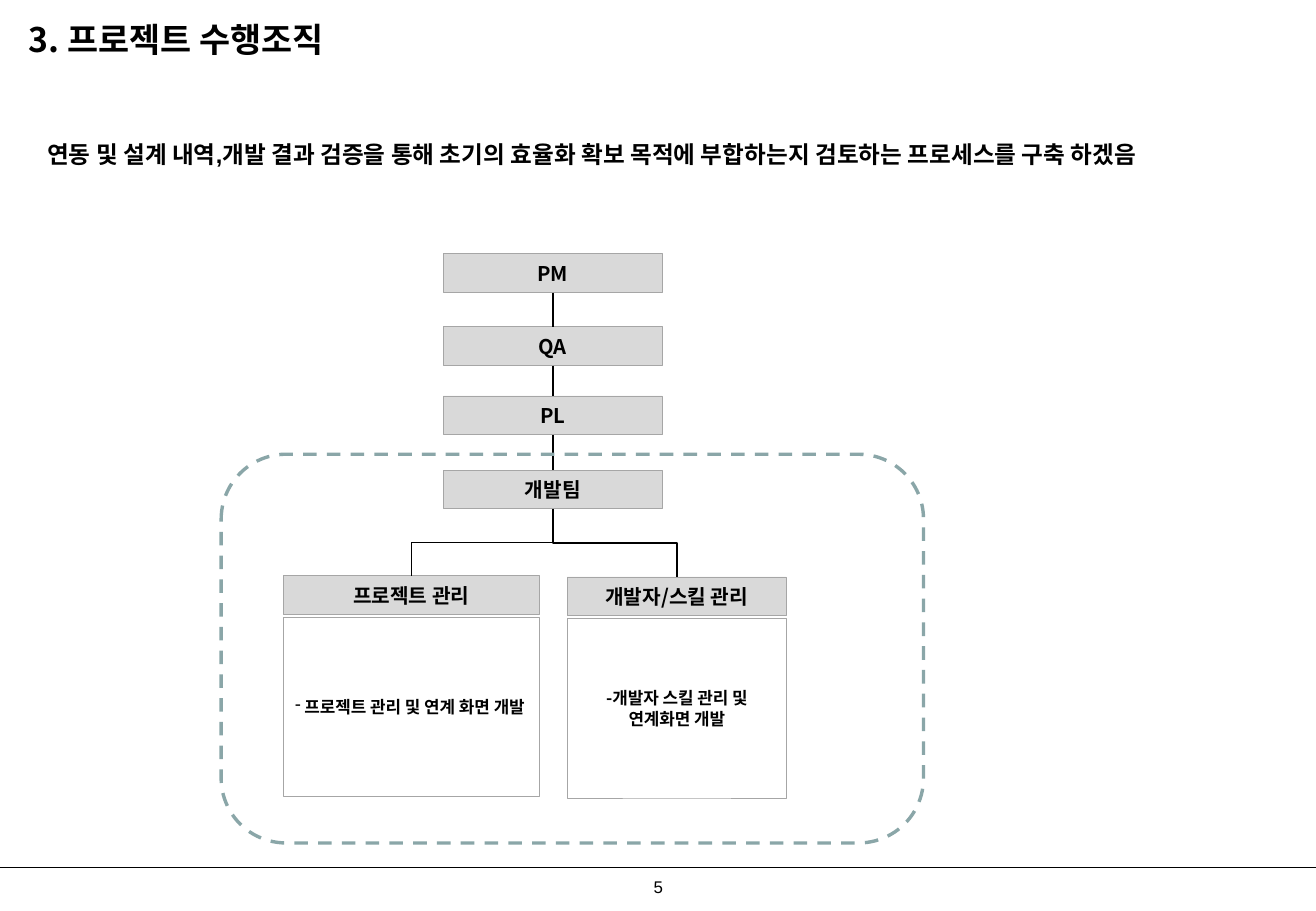
from lxml import etree
from pptx import Presentation
from pptx import util as u
from pptx.dml.color import RGBColor
from pptx.enum import dml, shapes, text
from pptx.oxml.ns import qn

COLORS = {
    "ink": "000000",
    "header": "D9D9D9",
    "border": "A6A6A6",
    "team": "8AA6A8",
}
KOREAN = "Noto Sans CJK KR"
LATIN = "Arial"


class OrgChart:
    def __init__(self, page):
        self.page = page

    def color(self, name):
        return RGBColor.from_string(COLORS[name])

    def set_text(self, item, words, size, font=KOREAN, bold=True, align=text.PP_ALIGN.LEFT):
        para = item.text_frame.paragraphs[0]
        para.text = words
        para.alignment = align
        para.font.size = u.Pt(size)
        para.font.bold = bold
        para.font.color.rgb = self.color("ink")
        para.font.name = font
        properties = para._p.get_or_add_pPr()
        defaults = properties.find(qn("a:defRPr"))
        etree.SubElement(defaults, qn("a:ea")).set("typeface", KOREAN)
        return properties

    def label(self, left, top, width, height, words, size, wrap=False, **style):
        item = self.page.shapes.add_textbox(*map(u.Inches, (left, top, width, height)))
        item.text_frame.word_wrap = wrap
        if wrap:
            item.text_frame.vertical_anchor = text.MSO_ANCHOR.MIDDLE
        self.set_text(item, words, size, **style)

    def box(self, left, top, width, height, fill=None, border="border", weight=0.5,
            kind=shapes.MSO_SHAPE.RECTANGLE):
        item = self.page.shapes.add_shape(kind, *map(u.Inches, (left, top, width, height)))
        item.shadow.inherit = False
        if fill:
            item.fill.solid()
            item.fill.fore_color.rgb = self.color(fill)
        else:
            item.fill.background()
        item.line.color.rgb = self.color(border)
        item.line.width = u.Pt(weight)
        item.text_frame.word_wrap = True
        item.text_frame.vertical_anchor = text.MSO_ANCHOR.MIDDLE
        return item

    def role(self, left, top, width, words):
        item = self.box(left, top, width, 0.32, fill="header")
        self.set_text(item, words, 12, align=text.PP_ALIGN.CENTER)
        return item

    def duty(self, left, top, width, words, align, bullet=None):
        item = self.box(left, top, width, 1.48)
        properties = self.set_text(item, words, 10, align=align)
        if bullet:
            mark = etree.Element(qn("a:buChar"))
            mark.set("char", bullet)
            properties.insert(0, mark)

    def line(self, start=(0, 0), end=(0, 0), kind=shapes.MSO_CONNECTOR.STRAIGHT):
        item = self.page.shapes.add_connector(kind, *map(u.Inches, (*start, *end)))
        item.line.color.rgb = self.color("ink")
        item.line.width = u.Pt(0.75)
        etree.SubElement(item._element.spPr, qn("a:effectLst"))
        return item

    def link(self, upper, lower, kind=shapes.MSO_CONNECTOR.STRAIGHT):
        item = self.line(kind=kind)
        item.begin_connect(upper, 2)
        item.end_connect(lower, 0)
        return item

    def branch(self, upper, lower):
        item = self.link(upper, lower, shapes.MSO_CONNECTOR.ELBOW)
        across = item.end_x - item.begin_x
        drop = item.end_y - item.begin_y
        middle_x = (item.begin_x + item.end_x) // 2
        middle_y = (item.begin_y + item.end_y) // 2
        item.left, item.top = middle_x - drop // 2, middle_y - abs(across) // 2
        item.width, item.height = drop, abs(across)
        frame = item._element.spPr.find(qn("a:xfrm"))
        frame.set("rot", str((270 if across > 0 else 90) * 60000))
        frame.set("flipH", "1" if across > 0 else "0")


def main():
    deck = Presentation()
    deck.slide_width, deck.slide_height = u.Inches(10.83), u.Inches(7.5)
    chart = OrgChart(deck.slides.add_slide(deck.slide_layouts[6]))

    chart.label(5.28, 7.17, 0.37, 0.27, "5", 10, font=LATIN, bold=False)
    chart.line((0, 7.14), (10.83, 7.14))
    chart.label(0.14, 0.13, 5.07, 0.39, "3. 프로젝트 수행조직", 20, wrap=True)
    chart.label(0.29, 1.1, 9.94, 0.34,
                "연동 및 설계 내역,개발 결과 검증을 통해 초기의 효율화 확보 목적에 "
                "부합하는지 검토하는 프로세스를 구축 하겠음", 14, font=LATIN)

    chain = [chart.role(3.65, top, 1.8, words) for top, words in
             ((2.09, "PM"), (2.69, "QA"), (3.26, "PL"), (3.87, "개발팀"))]
    project = chart.role(2.33, 4.74, 2.11, "프로젝트 관리")
    skill = chart.role(4.67, 4.75, 1.8, "개발자/스킬 관리")
    for upper, lower in zip(chain, chain[1:]):
        chart.link(upper, lower)
    for part in (project, skill):
        chart.branch(chain[-1], part)

    chart.duty(2.33, 5.08, 2.11, " 프로젝트 관리 및 연계 화면 개발",
               text.PP_ALIGN.LEFT, bullet="-")
    team = chart.box(1.82, 3.74, 5.78, 3.2, border="team", weight=2,
                     kind=shapes.MSO_SHAPE.ROUNDED_RECTANGLE)
    team.line.dash_style = dml.MSO_LINE.DASH
    chart.duty(4.67, 5.09, 1.8, "-개발자 스킬 관리 및 연계화면 개발", text.PP_ALIGN.CENTER)

    deck.save("out.pptx")


if __name__ == "__main__":
    main()
